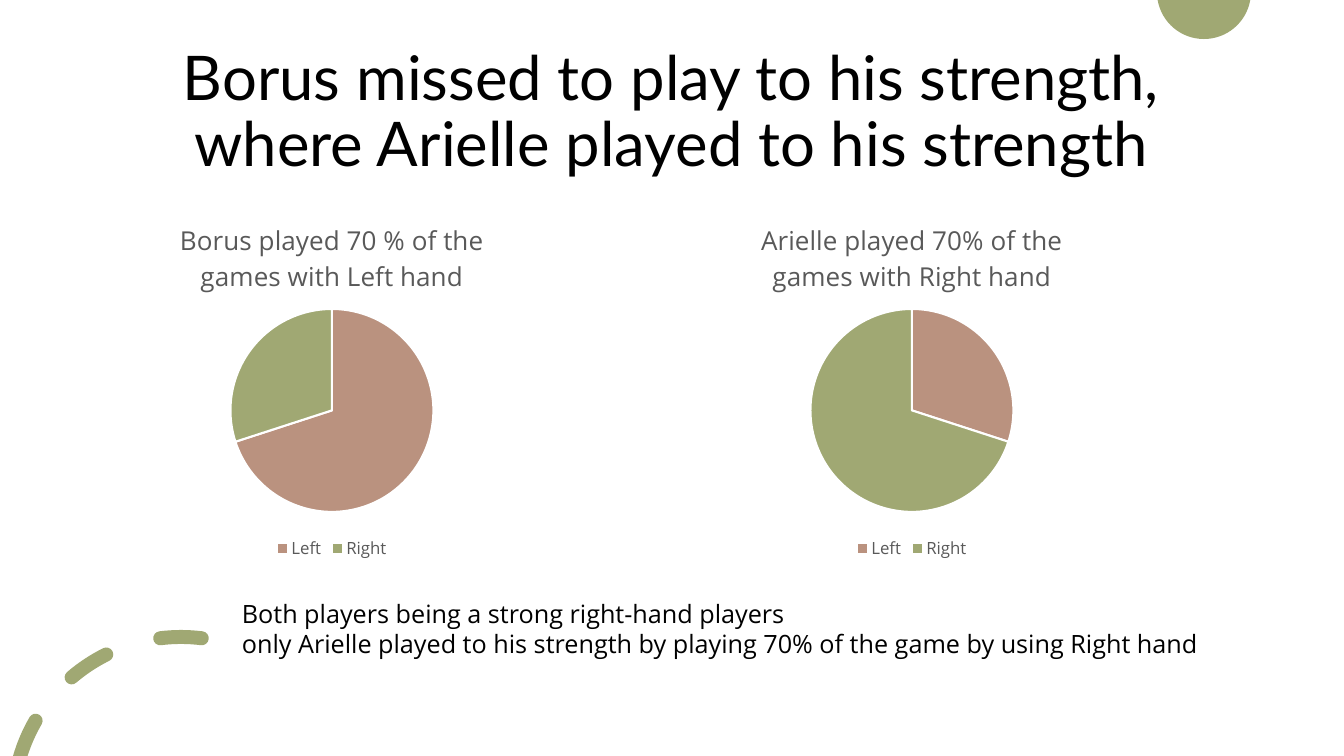
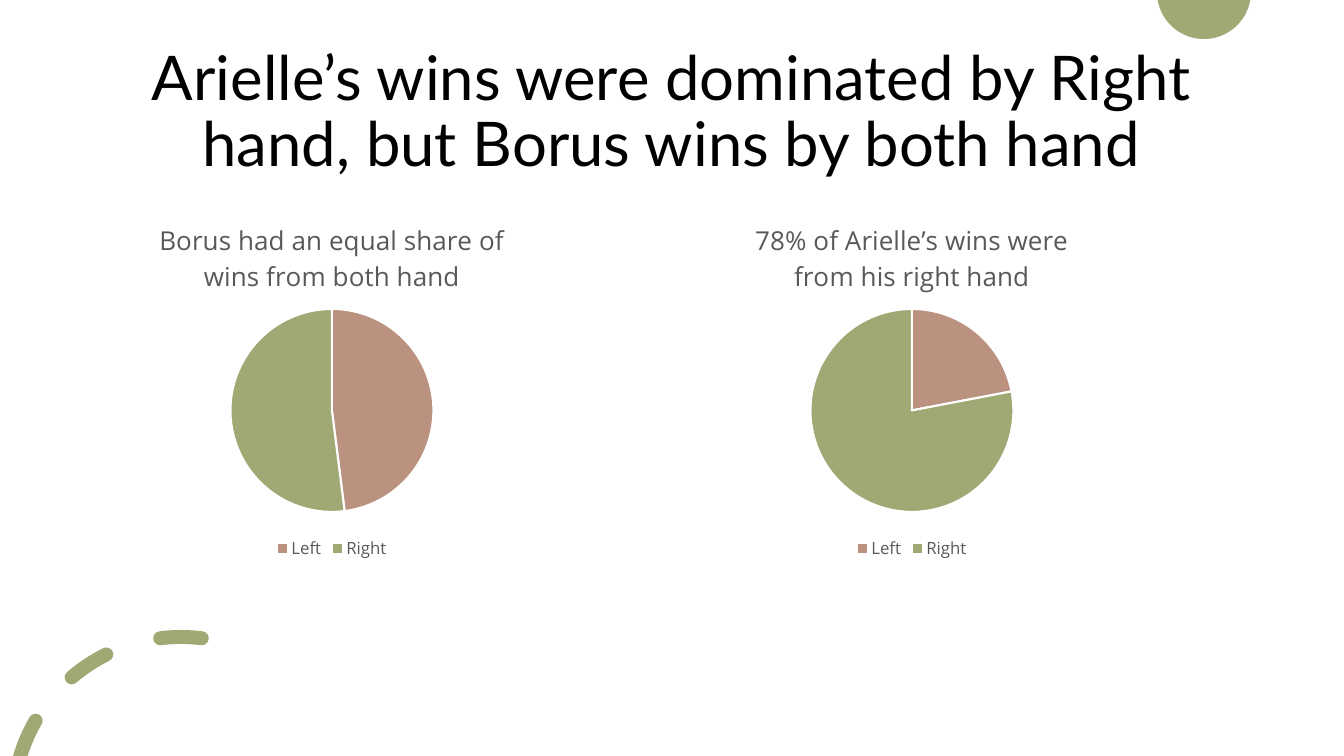
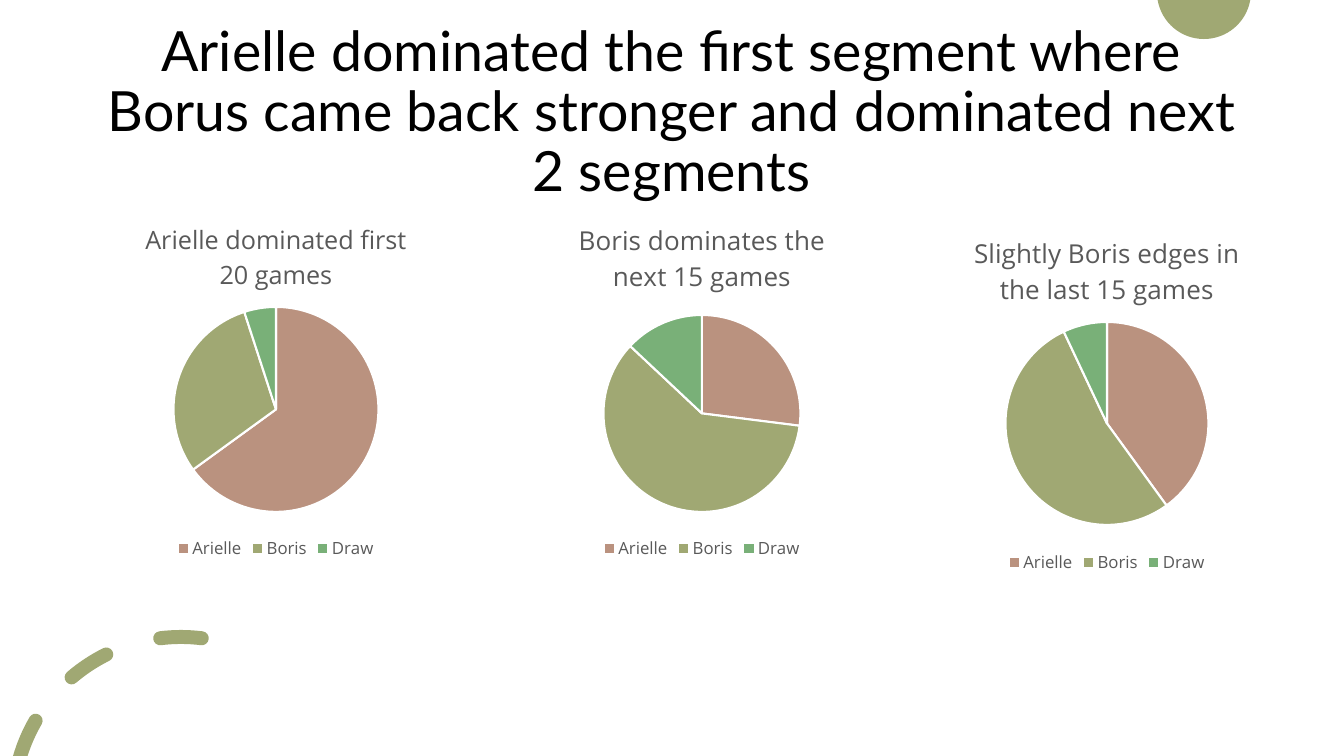
"""Build three slides that compare two players with pie charts."""
from dataclasses import dataclass
from math import acos, cos, degrees, radians, sin, tan

from lxml import etree
from pptx import Presentation
from pptx.chart.chart import Chart
from pptx.chart.data import CategoryChartData
from pptx.dml.color import RGBColor
from pptx.enum.chart import XL_CHART_TYPE, XL_LEGEND_POSITION
from pptx.enum.text import MSO_ANCHOR, PP_ALIGN
from pptx.slide import Slide
from pptx.util import Pt

PIE = XL_CHART_TYPE.PIE
BOTTOM = XL_LEGEND_POSITION.BOTTOM
TOP, MIDDLE = MSO_ANCHOR.TOP, MSO_ANCHOR.MIDDLE
LEFT, CENTER = PP_ALIGN.LEFT, PP_ALIGN.CENTER

SCALE = 914400 / 100.8
WIDE, HIGH = 1344, 756
HEAD, BODY = "Lato", "Open Sans"
BLACK, WHITE, GREY, OLIVE = "000000", "FFFFFF", "595959", "A0A873"
SLICES = ("BA927F", OLIVE, "79B078")
HANDS = ("Left", "Right")
SIDES = ("Arielle", "Boris", "Draw")
DRAWING = "{http://schemas.openxmlformats.org/drawingml/2006/main}"

Point = tuple[float, float]
Step = tuple[Point, ...]


@dataclass(frozen=True)
class Box:
    """A place on the slide, in pixels."""
    x: int
    y: int
    w: int
    h: int


@dataclass(frozen=True)
class Ring:
    """A circle that outlines follow, in pixels."""
    x: int
    y: int
    r: int

    def spot(self, turn: float, out: float = 0) -> Point:
        """Give the point at an angle left of the top."""
        t, reach = radians(turn), self.r + out
        return self.x - reach * sin(t), self.y - reach * cos(t)

    def cross(self, y: float, out: float = 0) -> float:
        """Give the angle at which the circle meets a level."""
        return degrees(acos((self.y - y) / (self.r + out)))


@dataclass(frozen=True)
class Pie:
    """One pie chart; top and span place its disc inside the box."""
    box: Box
    title: str
    names: tuple[str, ...]
    vals: tuple[int, ...]
    size: float = 18.6
    top: int = 107
    span: int = 203


@dataclass(frozen=True)
class Page:
    """One slide: a title, its pies and closing lines."""
    title: str
    pies: tuple[Pie, ...]
    size: float = 44
    lines: tuple[str, ...] = ()


DISC = Ring(1204, -8, 47)
CURVE = Ring(181, 805, 168)
TITLE = Box(92, 40, 1159, 147)
NOTE = Box(232, 593, 983, 72)
HALVES = tuple(Box(x, 202, 480, 362) for x in (92, 672))
THIRDS = (Box(92, 202, 368, 362), Box(518, 202, 368, 362), Box(923, 215, 368, 363))

PAGES = (
    Page("Borus missed to play to his strength, where Arielle played to his strength", (
        Pie(HALVES[0], "Borus played 70 % of the games with Left hand", HANDS, (70, 30)),
        Pie(HALVES[1], "Arielle played 70% of the games with Right hand", HANDS, (30, 70)),
    ), lines=(
        "Both players being a strong right-hand players",
        "only Arielle played to his strength by playing 70% of the game by using Right hand",
    )),
    Page("Arielle’s wins were dominated by Right hand, but Borus wins by both hand", (
        Pie(HALVES[0], "Borus had an equal share of wins from both hand", HANDS, (48, 52)),
        Pie(HALVES[1], "78% of Arielle’s wins were from his right hand", HANDS, (22, 78)),
    )),
    Page("Arielle dominated the first segment where Borus came back stronger "
         "and dominated next 2 segments", (
             Pie(THIRDS[0], "Arielle dominated first 20 games", SIDES, (65, 30, 5),
                 size=18, top=105, span=205),
             Pie(THIRDS[1], "Boris dominates the next 15 games", SIDES, (27, 60, 13),
                 top=113, span=197),
             Pie(THIRDS[2], "Slightly Boris edges in the last 15 games", SIDES, (40, 53, 7)),
         ), size=39.6),
)


def emu(px: float) -> int:
    """Turn pixels into EMU."""
    return round(px * SCALE)


def place(box: Box) -> tuple[int, int, int, int]:
    """Give left, top, width and height in EMU."""
    return emu(box.x), emu(box.y), emu(box.w), emu(box.h)


def color(code: str) -> RGBColor:
    """Turn a hex string into a colour."""
    return RGBColor.from_string(code)


def style(font, size: float, code: str, face: str = BODY) -> None:
    """Set the look of a font."""
    font.name, font.size, font.bold = face, Pt(size), False
    font.color.rgb = color(code)


def write(slide: Slide, box: Box, *lines: str, size: float = 18, face: str = BODY,
          code: str = BLACK, align=LEFT, anchor=TOP, pitch: float = 1.0) -> None:
    """Add a text box with one paragraph per line."""
    frame = slide.shapes.add_textbox(*place(box)).text_frame
    frame.word_wrap, frame.vertical_anchor = True, anchor
    for i, line in enumerate(lines):
        para = frame.add_paragraph() if i else frame.paragraphs[0]
        para.alignment, para.line_spacing = align, pitch
        run = para.add_run()
        run.text = line
        style(run.font, size, code, face)


def arc(ring: Ring, start: float, stop: float, out: float = 0, parts: int = 1) -> list[Step]:
    """Give the curves that follow a ring between two angles."""
    turn = (stop - start) / parts
    pull = 4 / 3 * tan(radians(turn) / 4) * (ring.r + out)
    steps = []
    for i in range(parts):
        a, b = start + i * turn, start + (i + 1) * turn
        (ax, ay), (bx, by) = ring.spot(a, out), ring.spot(b, out)
        s, t = radians(a), radians(b)
        steps.append(((ax - pull * cos(s), ay + pull * sin(s)),
                      (bx + pull * cos(t), by - pull * sin(t)), (bx, by)))
    return steps


def dash(turn: float, half: float = 7.1, thick: int = 7) -> list[Step]:
    """Outline a dash with round ends, cut at the slide's lower edge."""
    first, last = turn - half, turn + half
    outer = min(last, CURVE.cross(HIGH, thick))
    inner = min(last, CURVE.cross(HIGH, -thick))
    end = [(CURVE.spot(inner, -thick),)]
    if inner == last:
        end = arc(Ring(*CURVE.spot(last), thick), last, last + 180, parts=2)
    return [(CURVE.spot(first, thick),),
            *arc(CURVE, first, outer, thick),
            *end,
            *arc(CURVE, inner, first, -thick),
            *arc(Ring(*CURVE.spot(first), thick), first + 180, first + 360, parts=2)]


def draw(slide: Slide, loops: list[list[Step]]) -> None:
    """Add closed outlines of lines and curves as one filled shape."""
    pen = None
    for loop in loops:
        start, *rest = [(emu(x), emu(y)) for step in loop for x, y in step]
        if pen is None:
            pen = slide.shapes.build_freeform(*start, scale=1.0)
        else:
            pen.move_to(*start)
        pen.add_line_segments(rest, close=True)
    shape = pen.convert_to_shape()
    shape.shadow.inherit = False
    shape.fill.solid()
    shape.fill.fore_color.rgb = color(OLIVE)
    shape.line.fill.background()

    legs = iter(list(shape._element.iter(f"{DRAWING}lnTo")))
    for step in (step for loop in loops for step in loop[1:]):
        group = [next(legs) for _ in step]
        if len(group) == 3:
            curve = etree.Element(f"{DRAWING}cubicBezTo")
            group[0].addprevious(curve)
            for leg in group:
                curve.append(leg[0])
                leg.getparent().remove(leg)


def adorn(slide: Slide) -> None:
    """Add the disc and the dashed curve that all slides share."""
    edge = DISC.cross(0)
    draw(slide, [[(DISC.spot(edge),), *arc(DISC, edge, 360 - edge, parts=2)]])
    draw(slide, [dash(33.5 * i) for i in (2, 1, 0)])


def settle(graph: Chart, pie: Pie) -> None:
    """Fix the disc inside the chart frame."""
    area = graph.plots[0]._element.getparent()
    space = f"{{{etree.QName(area).namespace}}}"
    for old in area.findall(f"{space}layout"):
        area.remove(old)
    layout = etree.Element(f"{space}layout")
    area.insert(0, layout)
    manual = etree.SubElement(layout, f"{space}manualLayout")
    box = pie.box
    parts = {
        "layoutTarget": "inner", "xMode": "edge", "yMode": "edge",
        "x": (box.w - pie.span) / 2 / box.w, "y": pie.top / box.h,
        "w": pie.span / box.w, "h": pie.span / box.h,
    }
    for name, val in parts.items():
        text = val if isinstance(val, str) else f"{val:.4f}"
        etree.SubElement(manual, f"{space}{name}", val=text)


def chart(slide: Slide, pie: Pie) -> None:
    """Add a pie chart with its title and legend."""
    data = CategoryChartData()
    data.categories = pie.names
    data.add_series("Series 1", pie.vals)
    graph = slide.shapes.add_chart(PIE, *place(pie.box), data).chart
    style(graph.font, 10, BLACK)

    graph.has_title = True
    graph.chart_title.include_in_layout = False
    para = graph.chart_title.text_frame.paragraphs[0]
    style(para.font, pie.size, GREY)
    run = para.add_run()
    run.text = pie.title
    style(run.font, pie.size, GREY)

    graph.has_legend = True
    graph.legend.position = BOTTOM
    graph.legend.include_in_layout = False
    style(graph.legend.font, 12, GREY)

    plot = graph.plots[0]
    plot.vary_by_categories = True
    for i, code in enumerate(SLICES[:len(pie.vals)]):
        look = plot.series[0].points[i].format
        look.fill.solid()
        look.fill.fore_color.rgb = color(code)
        look.line.color.rgb = color(WHITE)
        look.line.width = Pt(1.5)
    settle(graph, pie)


def main() -> None:
    """Build and save the slides."""
    deck = Presentation()
    deck.slide_width, deck.slide_height = emu(WIDE), emu(HIGH)
    blank = deck.slide_layouts[6]
    for page in PAGES:
        slide = deck.slides.add_slide(blank)
        adorn(slide)
        write(slide, TITLE, page.title, size=page.size, face=HEAD,
              align=CENTER, anchor=MIDDLE, pitch=0.9)
        for pie in page.pies:
            chart(slide, pie)
        if page.lines:
            write(slide, NOTE, *page.lines)
    deck.save("out.pptx")


main()
